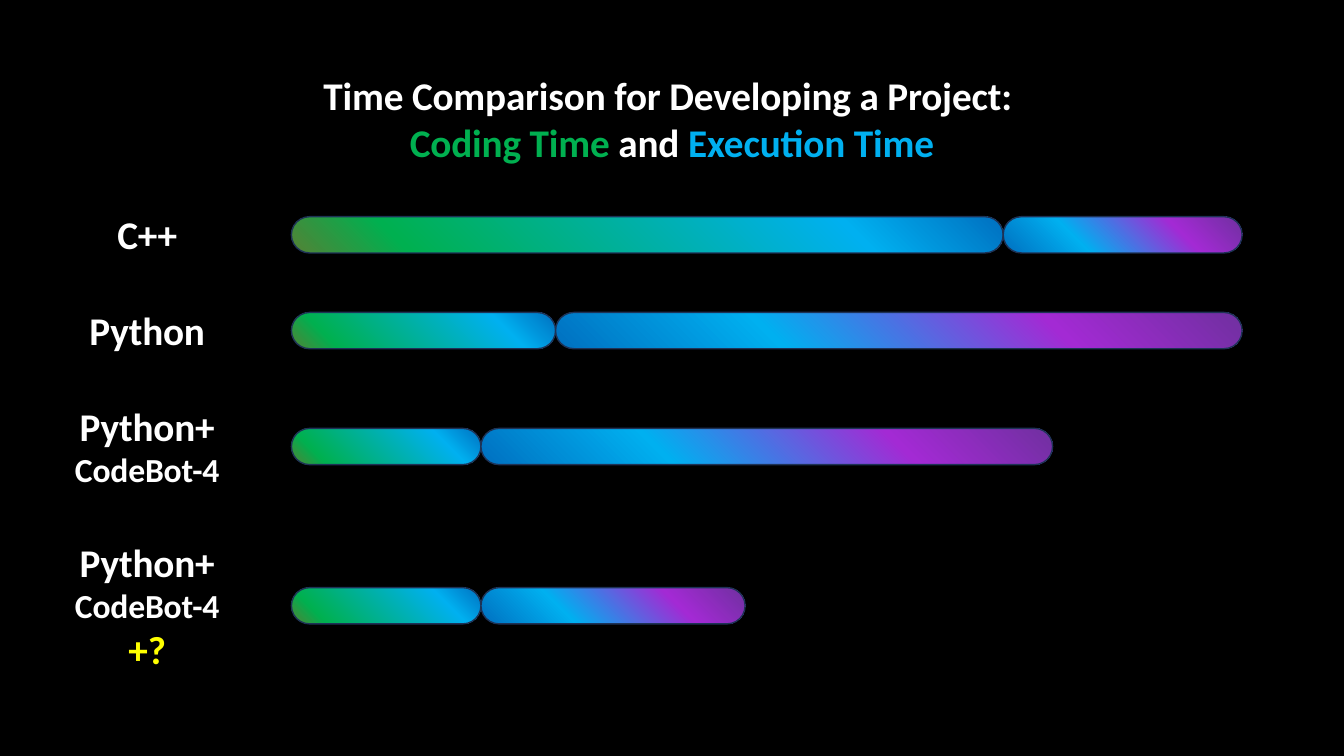
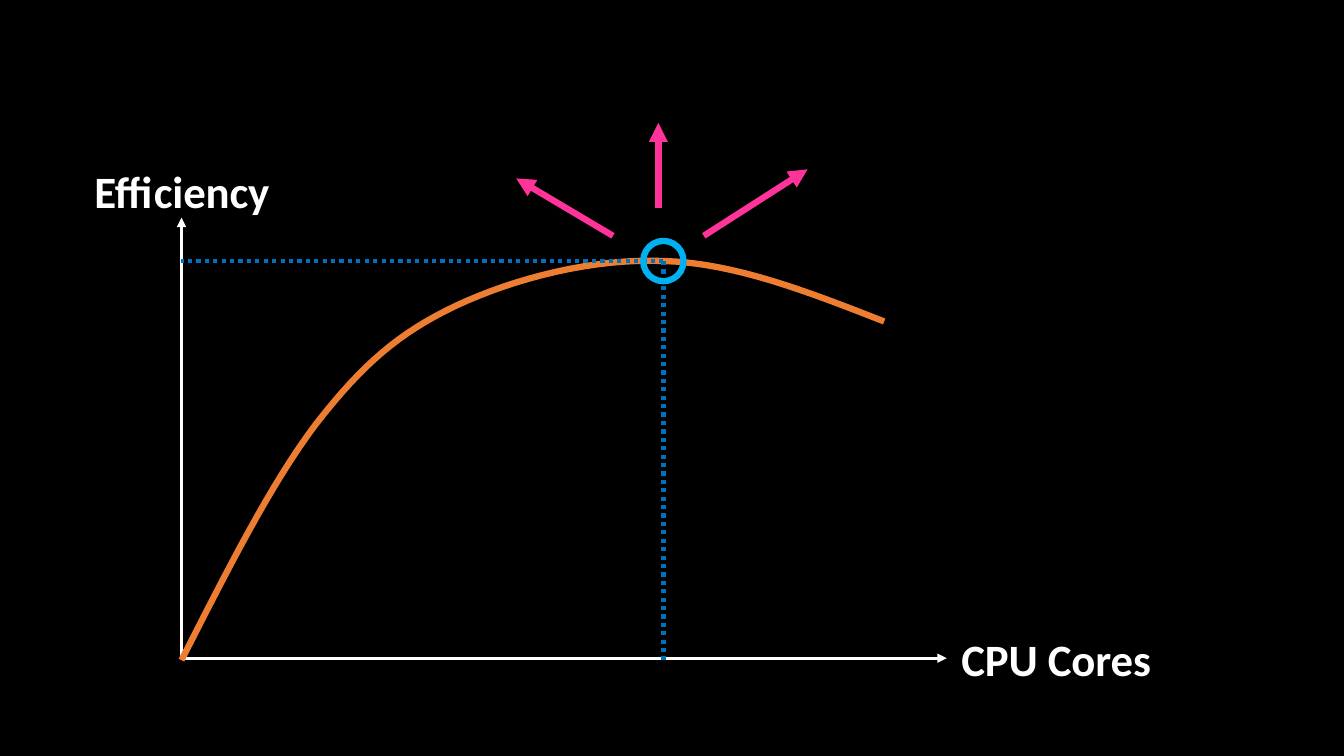
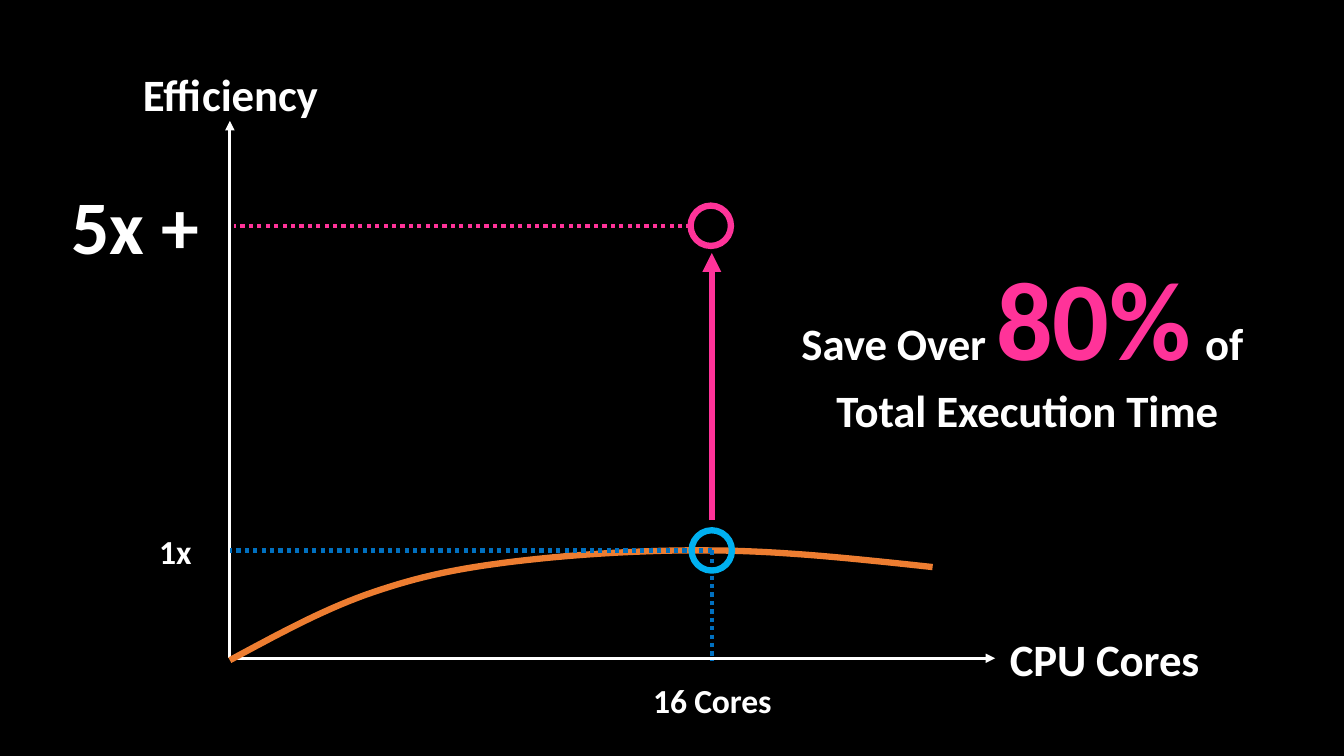
from pptx import Presentation
from pptx.dml.color import RGBColor
from pptx.enum.dml import MSO_LINE
from pptx.enum.shapes import MSO_CONNECTOR, MSO_SHAPE
from pptx.enum.text import MSO_ANCHOR, PP_ALIGN
from pptx.oxml.ns import qn
from pptx.util import Inches, Pt
from lxml.etree import SubElement

FONT = "Calibri"
WHITE, BLACK, PINK = "FFFFFF", "000000", "FF3399"
GREEN, SKY, BLUE = "00B050", "00B0F0", "0070C0"
ORANGE, YELLOW, EDGE = "ED7D31", "FFFF00", "1E3256"
rgb = RGBColor.from_string


def text(slide, rows, box, size=28, mid=False):
    shape = slide.shapes.add_textbox(*map(Inches, box))
    frame = shape.text_frame
    frame.word_wrap = True
    if mid:
        frame.vertical_anchor = MSO_ANCHOR.MIDDLE
        frame.margin_left = frame.margin_right = frame.margin_bottom = 0
        frame.margin_top = Inches(0.01)
    if isinstance(rows, str):
        rows = [[(rows, size, WHITE)]]
    for i, row in enumerate(rows):
        para = frame.add_paragraph() if i else frame.paragraphs[0]
        para.alignment = PP_ALIGN.CENTER
        for words, points, color in row:
            for j, part in enumerate(words.split("\n")):
                if j:
                    para.add_line_break()
                run = para.add_run()
                run.text = part
                font = run.font
                font.name, font.size, font.bold = FONT, Pt(points), True
                font.color.rgb = rgb(color)
                run._r.get_or_add_rPr().set("spc", "-10")


def line(slide, start, end, color, width, dots=False):
    link = slide.shapes.add_connector(
        MSO_CONNECTOR.STRAIGHT, *map(Inches, (*start, *end)))
    link.line.color.rgb = rgb(color)
    link.line.width = Pt(width)
    props = link._element.spPr
    if dots:
        link.line.dash_style = MSO_LINE.ROUND_DOT
    else:
        SubElement(props.find(qn("a:ln")), qn("a:tailEnd"), type="triangle")
    SubElement(props, qn("a:effectLst"))


deck = Presentation()
deck.slide_width, deck.slide_height = Inches(13.33), Inches(7.5)
back = deck.slide_master.background.fill
back.solid()
back.fore_color.rgb = rgb(BLACK)
blank = deck.slide_layouts[6]

slide = deck.slides.add_slide(blank)
text(slide, [
    [("Time Comparison for Developing a Project: ", 28, WHITE)],
    [("Coding Time ", 28, GREEN), ("and ", 28, WHITE),
     ("Execution Time", 28, SKY)],
], (2.48, 0.66, 8.37, 1.04))

code = [(0, "548235"), (16, GREEN), (78, SKY), (100, BLUE)]
execute = [(0, BLUE), (32, SKY), (72, "A32AD4"), (100, "7030A0")]
plain = [("Python+", 28, WHITE)]
helper = [("CodeBot-4", 24, WHITE)]
cases = [
    ([[("C++", 28, WHITE)]], 2.04, 0.57, 2.15, 9.95, 12.32),
    ([[("Python", 28, WHITE)]], 2.99, 0.57, 3.1, 5.51, 12.32),
    ([plain, helper], 3.94, 0.98, 4.25, 4.77, 10.44),
    ([plain, helper, [("+?", 28, YELLOW)]], 5.29, 1.45, 5.83, 4.77, 7.39),
]
for rows, top, high, bar_top, split, end in cases:
    text(slide, rows, (0.52, top, 1.88, high))
    for left, right, stops in ((2.89, split, code), (split, end, execute)):
        bar = slide.shapes.add_shape(
            MSO_SHAPE.ROUNDED_RECTANGLE, Inches(left), Inches(bar_top),
            Inches(right - left), Inches(0.36))
        bar.adjustments[0] = 0.5
        bar.shadow.inherit = False
        bar.line.color.rgb = rgb(EDGE)
        bar.line.width = Pt(1)
        bar.fill.gradient()
        bar.fill.gradient_angle = 45
        ramp = bar._element.spPr.find(qn("a:gradFill")).find(qn("a:gsLst"))
        ramp.clear()
        for place, color in stops:
            stop = SubElement(ramp, qn("a:gs"), pos=str(place * 1000))
            SubElement(stop, qn("a:srgbClr"), val=color)

base, floor, steps = 6.53, 6.55, 16
curve = [
    ((0, 0), (0.45, 0.88), (0.89, 1.76), (1.34, 2.35)),
    ((1.34, 2.35), (1.8, 2.94), (2.16, 3.25), (2.73, 3.52)),
    ((2.73, 3.52), (3.31, 3.79), (4.08, 3.99), (4.79, 3.96)),
    ((4.79, 3.96), (5.49, 3.94), (6.23, 3.65), (6.97, 3.36)),
]
graphs = [
    (1.8, 2.16, 1, []),
    (2.28, 1.2, 0.275, [(7.05, 2.24, PINK)]),
]
for left, top, scale, extra in graphs:
    slide = deck.slides.add_slide(blank)
    line(slide, (left, base), (left, top), WHITE, 2.25)
    line(slide, (left, base), (left + 7.59, base), WHITE, 2.25)

    dots = []
    for knots in curve:
        for n in range(1, steps + 1):
            t = n / steps
            weights = ((1 - t) ** 3, 3 * t * (1 - t) ** 2,
                       3 * t * t * (1 - t), t ** 3)
            x, y = (sum(w * knot[k] for w, knot in zip(weights, knots))
                    for k in (0, 1))
            dots.append((Inches(left + x), Inches(floor - scale * y)))
    pen = slide.shapes.build_freeform(Inches(left), Inches(floor))
    pen.add_line_segments(dots, close=False)
    arc = pen.convert_to_shape()
    arc.shadow.inherit = False
    arc.fill.background()
    arc.line.color.rgb = rgb(ORANGE)
    arc.line.width = Pt(4.5)

    text(slide, "CPU Cores", (left + 7.42, 6.25, 2.51, 0.55), size=32, mid=True)
    text(slide, "Efficiency", (left - 1.25, top - 0.55, 2.51, 0.55),
         size=32, mid=True)

    peak = (left + 4.78, floor - scale * 3.96)
    line(slide, peak, (peak[0], floor), BLUE, 3, dots=True)
    line(slide, peak, (left, peak[1]), BLUE, 3, dots=True)
    for x, y, color in [(*peak, SKY)] + extra:
        ring = slide.shapes.add_shape(
            MSO_SHAPE.OVAL, Inches(x - 0.2), Inches(y - 0.2),
            Inches(0.4), Inches(0.4))
        ring.shadow.inherit = False
        ring.fill.background()
        ring.line.color.rgb = rgb(color)
        ring.line.width = Pt(4.5)

first, last = deck.slides[1], deck.slides[2]
for start, end in (((6.08, 2.34), (5.12, 1.77)),
                   ((6.53, 2.06), (6.53, 1.22)),
                   ((6.98, 2.34), (8.01, 1.68))):
    line(first, start, end, PINK, 4.5)

line(last, (7.06, 5.16), (7.06, 2.51), PINK, 4.5)
line(last, (6.85, 2.24), (2.32, 2.24), PINK, 3, dots=True)
for words, box, size in (("16 Cores", (5.81, 6.73, 2.51, 0.42), 24),
                         ("1x", (1.16, 5.25, 1.16, 0.42), 24),
                         ("5x +", (0.44, 1.76, 1.8, 0.92), 54)):
    text(last, words, box, size=size, mid=True)
text(last, [[("Save Over ", 32, WHITE), ("80%", 80, PINK), (" ", 44, WHITE),
             ("of \nTotal Execution Time", 32, WHITE)]],
     (7.56, 2.44, 5.26, 1.9), mid=True)

deck.save("out.pptx")
